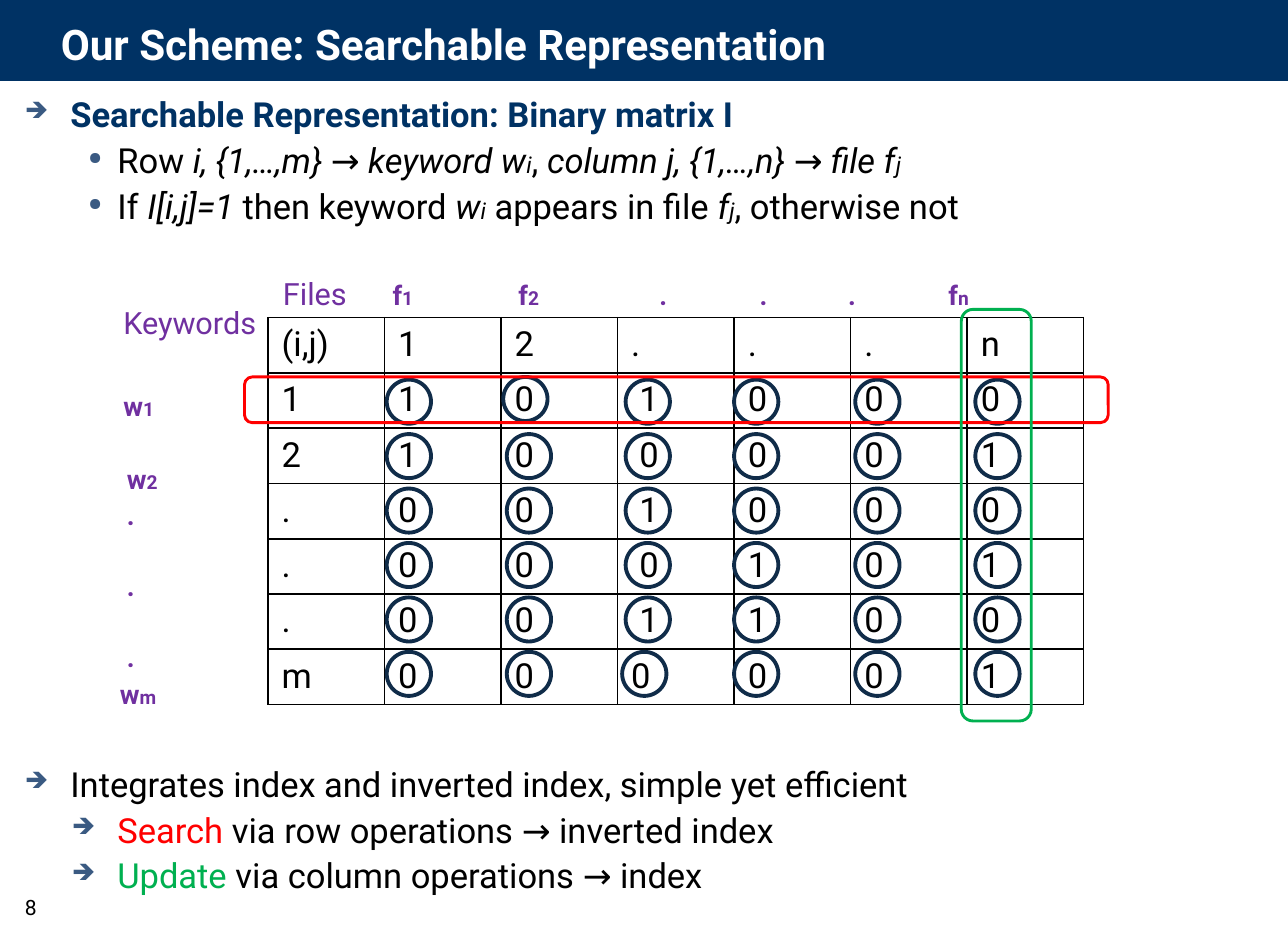
"""Build the slide on the searchable binary matrix representation."""
from dataclasses import dataclass

import lxml.etree
import pptx
import pptx.dml.color
import pptx.enum.shapes
import pptx.enum.text
import pptx.oxml
import pptx.oxml.ns
import pptx.util

SLIDE_WIDTH, SLIDE_HEIGHT = 9.33, 6.75
MATRIX_LEFT, MATRIX_TOP = 1.94, 2.3
COLUMN, ROW = 5.91 / 7, 2.76 / 7
FONT = "Roboto"
ASCENT = 0.93
NAVY, CIRCLE, BULLET = "003264", "102C49", "3A5A82"
BLACK, WHITE, PURPLE, RED, GREEN = "000000", "FFFFFF", "7030A0", "FF0000", "00B050"
SHAPES = pptx.enum.shapes.MSO_SHAPE
ANCHORS = pptx.enum.text.MSO_ANCHOR


@dataclass
class Frame:
    left: float
    top: float
    width: float
    height: float

    def inches(self) -> list:
        return [pptx.util.Inches(v) for v in (self.left, self.top, self.width, self.height)]


@dataclass
class Run:
    text: str
    size: float = 18
    color: str = BLACK
    bold: bool = False
    italic: bool = False


@dataclass
class Bullet:
    symbol: str
    indent: float
    hanging: float
    percent: int
    runs: list[Run]


@dataclass
class Label:
    column: float
    row: float
    text: str
    subscript: str = ""
    size: float = 14
    bold: bool = True


def share(left: float, top: float, width: float, height: float) -> Frame:
    return Frame(left * SLIDE_WIDTH / 100, top * SLIDE_HEIGHT / 100,
                 width * SLIDE_WIDTH / 100, height * SLIDE_HEIGHT / 100)


def grid(column: float, row: float, columns: float, rows: float) -> Frame:
    return Frame(MATRIX_LEFT + column * COLUMN, MATRIX_TOP + row * ROW, columns * COLUMN, rows * ROW)


def rgb(color: str) -> pptx.dml.color.RGBColor:
    return pptx.dml.color.RGBColor.from_string(color)


def italic(text: str, size: float = 18) -> Run:
    return Run(text, size, italic=True)


def add_runs(paragraph, runs: list[Run]) -> None:
    for item in runs:
        run = paragraph.add_run()
        run.text = item.text
        run.font.name, run.font.size = FONT, pptx.util.Pt(item.size)
        run.font.bold, run.font.italic = item.bold, item.italic
        run.font.color.rgb = rgb(item.color)


def add_text(slide, frame: Frame, runs: list[Run], top_inset: float = 0,
             anchor=ANCHORS.TOP, wrap: bool = True):
    text_frame = slide.shapes.add_textbox(*frame.inches()).text_frame
    text_frame.word_wrap, text_frame.vertical_anchor = wrap, anchor
    text_frame.margin_left = text_frame.margin_right = text_frame.margin_bottom = 0
    text_frame.margin_top = pptx.util.Inches(top_inset)
    add_runs(text_frame.paragraphs[0], runs)
    return text_frame


def add_bullets(slide, frame: Frame, bullets: list[Bullet]) -> None:
    text_frame = add_text(slide, frame, [], 0.07)
    for index, bullet in enumerate(bullets):
        paragraph = text_frame.add_paragraph() if index else text_frame.paragraphs[0]
        paragraph.line_spacing = 1.11
        properties = paragraph._p.get_or_add_pPr()
        properties.set("marL", str(pptx.util.Inches(bullet.indent)))
        properties.set("indent", str(-pptx.util.Inches(bullet.hanging)))
        color = lxml.etree.SubElement(properties, pptx.oxml.ns.qn("a:buClr"))
        lxml.etree.SubElement(color, pptx.oxml.ns.qn("a:srgbClr"), val=BULLET)
        lxml.etree.SubElement(properties, pptx.oxml.ns.qn("a:buSzPct"), val=str(bullet.percent * 1000))
        lxml.etree.SubElement(properties, pptx.oxml.ns.qn("a:buChar"), char=bullet.symbol)
        add_runs(paragraph, bullet.runs)


def add_outline(slide, kind, frame: Frame, color: str, width: float) -> None:
    shape = slide.shapes.add_shape(kind, *frame.inches())
    shape.shadow.inherit = False
    shape.fill.background()
    shape.line.color.rgb, shape.line.width = rgb(color), pptx.util.Pt(width)


def add_header(slide) -> None:
    bar = slide.shapes.add_shape(SHAPES.RECTANGLE, *share(0, 0, 100, 8.59).inches())
    bar.shadow.inherit = False
    bar.fill.solid()
    bar.fill.fore_color.rgb = rgb(NAVY)
    bar.line.fill.background()
    bottom = bar.top + bar.height
    rule = slide.shapes.add_connector(pptx.enum.shapes.MSO_CONNECTOR.STRAIGHT,
                                      0, bottom, bar.width, bottom)
    rule.line.color.rgb, rule.line.width = rgb(NAVY), pptx.util.Pt(0.71)
    lxml.etree.SubElement(rule._element.spPr, pptx.oxml.ns.qn("a:effectLst"))
    add_text(slide, share(4.72, 0, 95.28, 8.44),
             [Run("Our Scheme: Searchable Representation", 22, WHITE, True)], 0.06, ANCHORS.MIDDLE)


def add_borders(cell) -> None:
    properties = cell._tc.get_or_add_tcPr()
    for index, side in enumerate(("lnL", "lnR", "lnT", "lnB")):
        properties.insert(index, pptx.oxml.parse_xml(
            f'<a:{side} {pptx.oxml.ns.nsdecls("a")} w="12700"><a:solidFill>'
            f'<a:srgbClr val="{BLACK}"/></a:solidFill></a:{side}>'))


def add_matrix(slide, rows: list[list[str]]) -> None:
    table = slide.shapes.add_table(len(rows), len(rows[0]), *grid(0, 0, 7, 7).inches()).table
    table.first_row = table.horz_banding = False
    for row, values in enumerate(rows):
        for column, value in enumerate(values):
            cell = table.cell(row, column)
            cell.fill.background()
            shifted = column == 3 and 0 < row < 6
            cell.margin_left = pptx.util.Inches(0.16 if shifted else 0.1)
            add_runs(cell.text_frame.paragraphs[0], [Run(value)])
            add_borders(cell)


def add_circles(slide) -> None:
    nudges = {(1, 2): (-0.03, -0.05), (6, 3): (-0.03, 0)}
    for row in range(1, 7):
        for column, left in enumerate((1.02, 2.05, 3.07, 4, 5.04, 6.07), 1):
            across, down = nudges.get((row, column), (0, 0))
            add_outline(slide, SHAPES.OVAL, grid(left + across, row + 0.14 + down, 0.38, 0.81), CIRCLE, 2)


def add_label(slide, label: Label) -> None:
    frame = grid(label.column, label.row, 1.2, 0.6)
    frame.top -= ASCENT * label.size / 72
    runs = [Run(label.text, label.size, PURPLE, label.bold)]
    if label.subscript:
        runs.append(Run(label.subscript, 10, PURPLE, label.bold))
    add_text(slide, frame, runs, wrap=False)


def main() -> None:
    presentation = pptx.Presentation()
    presentation.slide_width = pptx.util.Inches(SLIDE_WIDTH)
    presentation.slide_height = pptx.util.Inches(SLIDE_HEIGHT)
    slide = presentation.slides.add_slide(presentation.slide_layouts[6])
    add_header(slide)
    add_bullets(slide, share(1.93, 8.44, 98.07, 16.3), [
        Bullet("➔", 0.33, 0.33, 65, [Run("Searchable Representation: Binary matrix I", color=NAVY, bold=True)]),
        Bullet("●", 0.67, 0.21, 50, [
            Run("Row "), italic("i, {1,…,m} → keyword w"), italic("i", 12), Run(", "),
            italic("column j, {1,…,n} → file f"), italic("j", 12)]),
        Bullet("●", 0.67, 0.21, 50, [
            Run("If "), italic("I[i,j]=1"), Run(" then keyword "), italic("w"), italic("i", 12),
            Run(" appears in file "), italic("f"), italic("j", 12), Run(", otherwise not")])])
    add_bullets(slide, share(1.93, 80.3, 98.07, 15.5), [
        Bullet("➔", 0.33, 0.33, 65, [Run("Integrates index and inverted index, simple yet efficient")]),
        Bullet("➔", 0.67, 0.33, 65, [Run("Search ", color=RED), Run("via row operations → inverted index")]),
        Bullet("➔", 0.67, 0.33, 65, [Run("Update", color=GREEN), Run(" via column operations → index")])])
    add_matrix(slide, [line.split() for line in (
        "(i,j) 1 2 . . . n", "1 1 0 1 0 0 0", "2 1 0 0 0 0 1", ". 0 0 1 0 0 0",
        ". 0 0 0 1 0 1", ". 0 0 1 1 0 0", "m 0 0 0 0 0 1")])
    add_circles(slide)
    files = -0.26
    for label in (
            Label(0.13, files, "Files", size=16, bold=False), Label(1.07, files, "f", "1"),
            Label(2.15, files, "f", "2"), Label(3.36, files, "."), Label(4.22, files, "."),
            Label(4.98, files, "."), Label(5.84, files, "f", "n"),
            Label(-1.24, 0.28, "Keywords", size=16, bold=False), Label(-1.24, 1.78, "w", "1"),
            Label(-1.21, 3.12, "w", "2"), Label(-1.21, 3.78, "."), Label(-1.21, 5.08, "."),
            Label(-1.21, 6.39, "."), Label(-1.27, 7.08, "w", "m")):
        add_label(slide, label)
    add_outline(slide, SHAPES.ROUNDED_RECTANGLE, grid(-0.2, 1.09, 7.41, 0.84), RED, 1.5)
    add_outline(slide, SHAPES.ROUNDED_RECTANGLE, grid(5.95, -0.15, 0.6, 7.56), GREEN, 1.5)
    add_text(slide, share(1.93, 95.26, 5.4, 3.11), [Run("8", 11)], 0.05)
    presentation.save("out.pptx")


if __name__ == "__main__":
    main()
